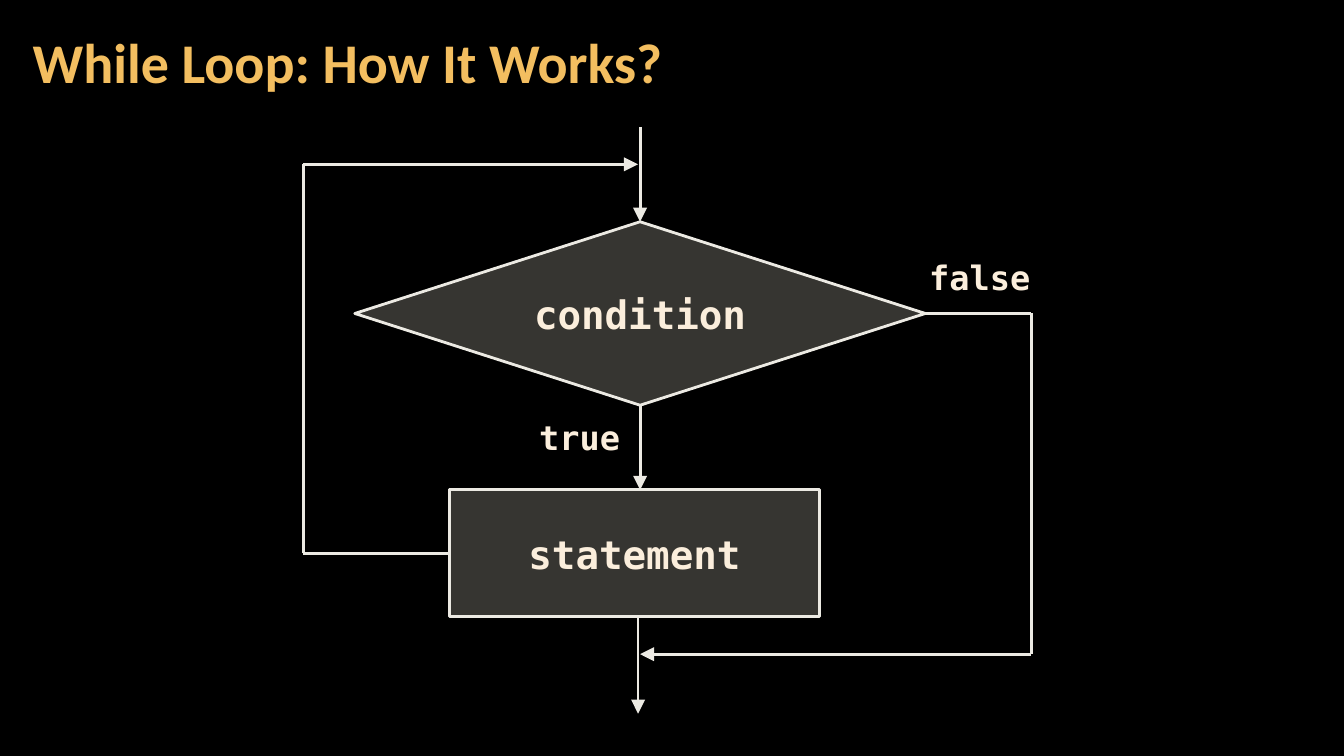
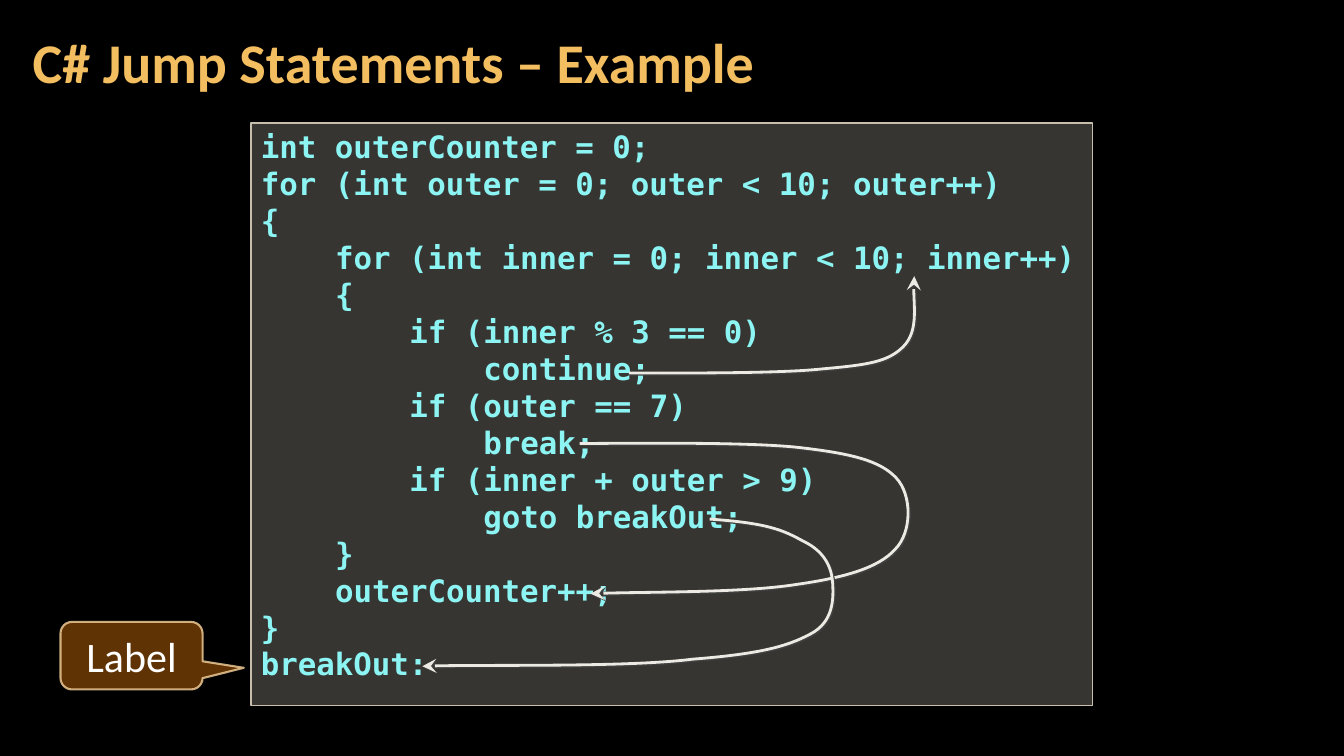
import pptx
import pptx.util
import pptx.dml.color
import pptx.enum.shapes
import pptx.enum.text
import pptx.oxml.ns
from collections import namedtuple
from itertools import pairwise

Box = namedtuple("Box", "x y w h")  # in grid cells
SHAPE = pptx.enum.shapes.MSO_SHAPE
ANCHOR = pptx.enum.text.MSO_ANCHOR
ALIGN = pptx.enum.text.PP_ALIGN
GROW = pptx.enum.text.MSO_AUTO_SIZE.SHAPE_TO_FIT_TEXT
Pt = pptx.util.Pt
qn = pptx.oxml.ns.qn

SANS, MONO = "Calibri", "DejaVu Sans Mono"
BLACK, WHITE = "000000", "FFFFFF"
GOLD, CREAM, CYAN = "F3BE60", "FBEEDC", "8CF4F2"
LINE, PANEL, PANEL_EDGE = "ECEAE3", "D9D5C7", "C7BFAC"
BROWN, SAND, SHADE = "663606", "F8D49E", "404040"

TITLE = Box(2.05, 0.4, 104.7, 12.1)
FLOW = Box(30.1, 12.6, 72.2, 58.2)
CODE_PANEL = Box(24.9, 12.2, 83.5, 57.8)
CALLOUT = Box(6, 61.7, 14.1, 6.7)

CODE_SIZE = 22
INDENT = CODE_SIZE * 0.602 * 4  # four monospaced characters, in points
CODE = [
    (0, "int outerCounter = 0;"),
    (0, "for (int outer = 0; outer < 10; outer++)"),
    (0, "{"),
    (1, "for (int inner = 0; inner < 10; inner++)"),
    (1, "{"),
    (2, "if (inner % 3 == 0)"),
    (3, "continue;"),
    (2, "if (outer == 7)"),
    (3, "break;"),
    (2, "if (inner + outer > 9)"),
    (3, "goto breakOut;"),
    (1, "}"),
    (1, "outerCounter++;"),
    (0, "}"),
    (0, "breakOut:"),
]

# Start point, then two handles and an end point per curve, relative to the panel
CONTINUE_JUMP = [
    (37.5, 24.8), (40.7, 24.8), (52.2, 24.9), (56.7, 24.4),
    (61.2, 24), (63.2, 23.7), (64.7, 22.2),
    (66.2, 20.7), (65.6, 16.7), (65.8, 15.2),
]
BREAK_JUMP = [
    (32.6, 31.8), (36.3, 31.8), (49.1, 31.6), (54.4, 32.2),
    (59.6, 32.8), (62.4, 33.5), (64, 35.2),
    (65.6, 36.9), (65.6, 40.6), (63.9, 42.3),
    (62.3, 44.1), (59, 45.1), (54, 45.8),
    (48.9, 46.6), (37.9, 46.5), (33.7, 46.7),
]
GOTO_JUMP = [
    (45.5, 39.3), (51.3, 39.7), (52.8, 40.4), (54.8, 41.5),
    (56.9, 42.5), (57.6, 44.1), (57.7, 45.6),
    (57.8, 47.2), (57.8, 49.5), (55.5, 50.7),
    (53.1, 52), (50.2, 52.7), (43.8, 53.2),
    (37.4, 54), (22.6, 53.7), (17, 53.9),
]


def cells(*values):
    """Turn grid cells of a tenth of an inch into lengths."""
    return [pptx.util.Inches(v / 10) for v in values]


def add_xml(parent, tag, **attrs):
    """Append a drawing element with the given attributes."""
    el = parent.makeelement(qn(tag), {k: str(v) for k, v in attrs.items()})
    parent.append(el)
    return el


def paint(fill, color, alpha=100):
    """Fill with a hex colour, at an opacity in percent."""
    fill.solid()
    fill.fore_color.rgb = pptx.dml.color.RGBColor.from_string(color)
    if alpha < 100:
        clr = fill._xPr.find(qn("a:solidFill")).find(qn("a:srgbClr"))
        add_xml(clr, "a:alpha", val=alpha * 1000)


def stroke(line, color=LINE, width=2, alpha=100, head=None):
    """Style a line, with an optional large arrowhead at its end."""
    paint(line.fill, color, alpha)
    line.width = Pt(width)
    if head:
        add_xml(line._get_or_add_ln(), "a:tailEnd", type=head, w="lg", len="lg")


def style(p, size, color, font=MONO, bold=True, align=ALIGN.CENTER):
    """Set the font and alignment of a paragraph."""
    p.font.name, p.font.size, p.font.bold = font, Pt(size), bold
    p.font.color.rgb = pptx.dml.color.RGBColor.from_string(color)
    p.alignment = align


def text(s, box, words, size, color, **kw):
    """Add a text box holding one paragraph and return its frame."""
    tf = s.shapes.add_textbox(*cells(*box)).text_frame
    tf.word_wrap = True
    tf.text = words
    style(tf.paragraphs[0], size, color, **kw)
    return tf


def shape(s, kind, box, fill=PANEL, alpha=25):
    """Add a flat preset shape with the standard outline."""
    sp = s.shapes.add_shape(kind, *cells(*box))
    sp.shadow.inherit = False
    paint(sp.fill, fill, alpha)
    stroke(sp.line)
    sp.text_frame.word_wrap = True
    sp.text_frame.vertical_anchor = ANCHOR.MIDDLE
    return sp


def node(s, kind, box, words):
    """Add a labelled flowchart node."""
    tf = shape(s, kind, box).text_frame
    tf.text = words
    style(tf.paragraphs[0], 28, CREAM)


def route(s, *points):
    """Join points by straight lines, ending in an arrow."""
    for start, end in pairwise(points):
        cn = s.shapes.add_connector(
            pptx.enum.shapes.MSO_CONNECTOR.STRAIGHT, *cells(*start, *end))
        stroke(cn.line, head="triangle" if end == points[-1] else None)
        add_xml(cn._element.spPr, "a:effectLst")


def jump(s, box, points):
    """Draw a smooth arrow through curves given relative to a box."""
    start, *rest = [cells(box.x + x, box.y + y) for x, y in points]
    fb = s.shapes.build_freeform(*start)
    fb.add_line_segments(rest, close=False)
    sp = fb.convert_to_shape()
    outline = next(sp._element.iter(qn("a:path")))
    corners = outline.findall(qn("a:lnTo"))
    for i in range(0, len(corners), 3):
        curve = add_xml(outline, "a:cubicBezTo")
        for corner in corners[i:i + 3]:
            curve.append(corner[0])
            outline.remove(corner)
    sp.fill.background()
    stroke(sp.line, head="stealth")
    sp.shadow.inherit = False
    effects = sp._element.spPr.find(qn("a:effectLst"))
    shadow = add_xml(effects, "a:outerShdw", dist=Pt(1.4), dir=45 * 60000,
                     algn="ctr", rotWithShape=0)
    add_xml(shadow, "a:srgbClr", val=SHADE)


def titled_slide(prs, title):
    """Add a black slide with the shared title style."""
    s = prs.slides.add_slide(prs.slide_layouts[6])
    paint(s.background.fill, BLACK)
    tf = text(s, TITLE, title, 40, GOLD, font=SANS, align=ALIGN.LEFT)
    tf.vertical_anchor = ANCHOR.MIDDLE
    tf.margin_left = tf.margin_right = pptx.util.Inches(0.12)
    tf.margin_top = tf.margin_bottom = pptx.util.Inches(0.04)
    tf.paragraphs[0].line_spacing = 0.9
    return s


def while_flow(s, box):
    """Draw the while loop flowchart inside a box."""
    x, y, w, h = box
    axis, right, bottom = x + 33.4, x + w, y + h
    exit_x = axis - 0.2
    cond = Box(axis - 28.3, y + 9.4, 56.6, 18.2)
    stmt = Box(x + 14.5, y + 36, 36.7, 12.6)
    cond_mid, stmt_mid = cond.y + cond.h / 2, stmt.y + stmt.h / 2
    back_y, exit_y = y + 3.7, bottom - 5.9

    route(s, (axis, y), (axis, cond.y))
    route(s, (axis, cond.y + cond.h), (axis, stmt.y))
    route(s, (exit_x, stmt.y + stmt.h), (exit_x, bottom))
    route(s, (stmt.x, stmt_mid), (x, stmt_mid), (x, back_y), (exit_x, back_y))
    route(s, (cond.x + cond.w, cond_mid), (right, cond_mid),
          (right, exit_y), (axis, exit_y))
    node(s, SHAPE.FLOWCHART_DECISION, cond, "condition")
    node(s, SHAPE.RECTANGLE, stmt, "statement")
    for words, label in (
            ("true", Box(axis - 11, cond.y + cond.h + 0.7, 10, 5)),
            ("false", Box(right - 11.4, cond_mid - 6.1, 12.6, 5))):
        text(s, label, words, 24, CREAM).auto_size = GROW


def code_panel(s, box):
    """Place the code listing and its jump arrows in a box."""
    sp = shape(s, SHAPE.RECTANGLE, box)
    stroke(sp.line, PANEL_EDGE, 1)
    tf = sp.text_frame
    tf.vertical_anchor = ANCHOR.TOP
    tf.text = "\n".join(words for _, words in CODE)
    for p, (level, _) in zip(tf.paragraphs, CODE):
        style(p, CODE_SIZE, CYAN, align=ALIGN.LEFT)
        p.line_spacing = Pt(CODE_SIZE * 1.2)
        p._p.get_or_add_pPr().set("marL", str(Pt(INDENT * level)))
    for points in (CONTINUE_JUMP, BREAK_JUMP, GOTO_JUMP):
        jump(s, box, points)


def label_callout(s, box):
    """Add the callout that points at the label."""
    sp = shape(s, SHAPE.ROUNDED_RECTANGULAR_CALLOUT, box, BROWN, 95)
    stroke(sp.line, SAND, 1.5, alpha=80)
    for i, value in enumerate((0.79, 0.18, 0.17)):
        sp.adjustments[i] = value
    sp.text_frame.text = "Label"
    style(sp.text_frame.paragraphs[0], 30, WHITE, font=SANS, bold=False)


prs = pptx.Presentation()
prs.slide_width, prs.slide_height = cells(133.33, 75)

while_flow(titled_slide(prs, "While Loop: How It Works?"), FLOW)

jumps = titled_slide(prs, "C# Jump Statements – Example")
code_panel(jumps, CODE_PANEL)
label_callout(jumps, CALLOUT)

prs.save("out.pptx")
